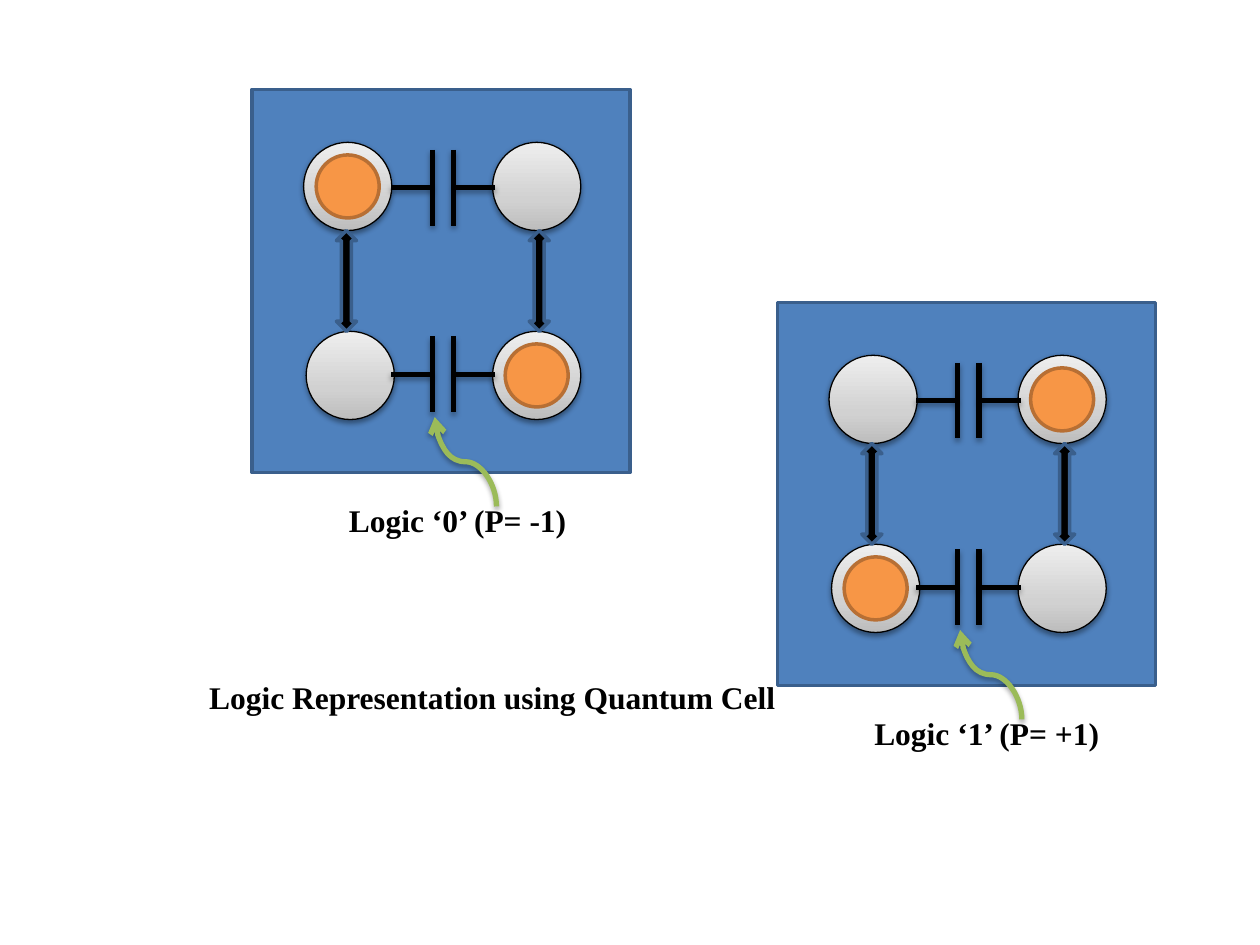
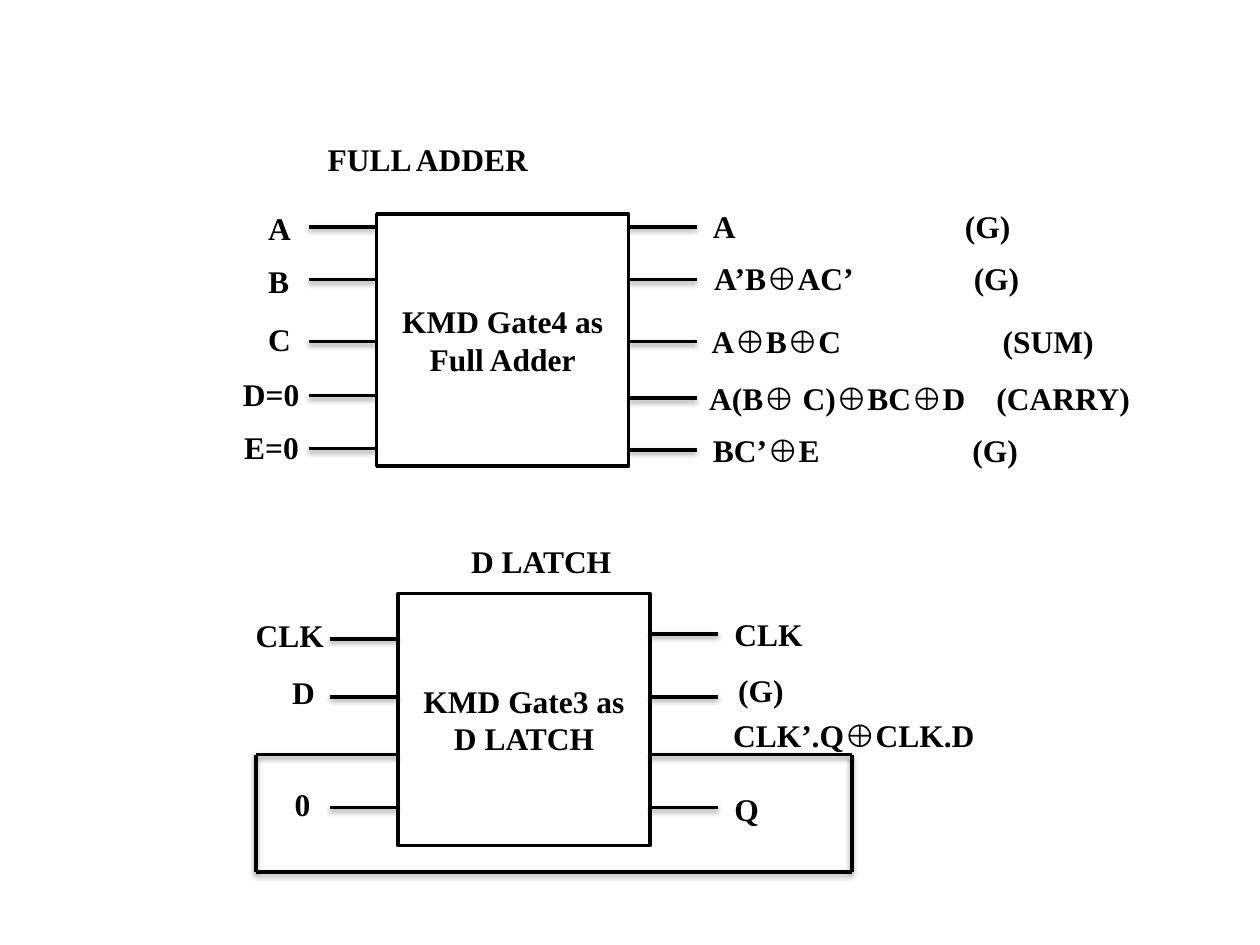
from dataclasses import dataclass

from pptx import Presentation, oxml
from pptx import util as u
from pptx.dml.color import RGBColor
from pptx.enum import shapes, text
from pptx.oxml.ns import nsdecls

EMU_PER_PX = 9144
PIN_LENGTH = 54
GATE_SIZE = 200


@dataclass(frozen=True)
class Theme:
    """Colours, type and line widths shared by both slides."""
    font: str = "Times New Roman"
    size: int = 18
    ink: str = "000000"
    paper: str = "FFFFFF"
    cell: str = "4F81BD"
    cell_edge: str = "3A5F8C"
    electron: str = "F79646"
    electron_edge: str = "B76F34"
    pointer: str = "9BBB59"
    dot_stops: tuple = ((0, "BDBDBD"), (35, "D1D1D1"), (100, "EEEEEE"))
    dot_line: float = 0.75
    line: float = 2
    heavy_line: float = 3


THEME = Theme()


def px(value):
    """Turn px into EMU."""
    return u.Emu(round(value * EMU_PER_PX))


def rgb(code):
    """Turn a hex code into a colour."""
    return RGBColor.from_string(code)


def element(markup):
    """Build a DrawingML element whose root tag lacks its namespace."""
    tag, rest = markup[1:].split(" ", 1)
    return oxml.parse_xml(f"<{tag} {nsdecls('a')} {rest}")


def add_shadow(item, alpha=38, distance=1.6):
    """Give a shape or connector a soft shadow below it."""
    item._element.spPr.append(element(
        f'<a:effectLst ><a:outerShdw blurRad="{u.Pt(3.1)}" dist="{u.Pt(distance)}" '
        f'dir="5400000" rotWithShape="0"><a:srgbClr val="{THEME.ink}">'
        f'<a:alpha val="{alpha * 1000}"/></a:srgbClr></a:outerShdw></a:effectLst>'))


def set_line(item, color, width):
    """Set the colour and width of an outline or line."""
    item.line.color.rgb = rgb(color)
    item.line.width = u.Pt(width)


def add_shape(parent, kind, left, top, width, height, fill, edge):
    """Add a flat preset shape."""
    shape = parent.shapes.add_shape(kind, px(left), px(top), px(width), px(height))
    shape.fill.solid()
    shape.fill.fore_color.rgb = rgb(fill)
    set_line(shape, edge, THEME.line)
    shape.shadow.inherit = False
    return shape


def add_line(parent, x1, y1, x2, y2, width=THEME.line, alpha=38, distance=1.6):
    """Add a straight black line with a shadow."""
    line = parent.shapes.add_connector(
        shapes.MSO_CONNECTOR.STRAIGHT, px(x1), px(y1), px(x2), px(y2))
    set_line(line, THEME.ink, width)
    add_shadow(line, alpha, distance)


def format_text(frame, words, align):
    """Fill a text frame with bold body type."""
    frame.text = words
    for para in frame.paragraphs:
        para.alignment = align
        for span in para.runs:
            span.font.name = THEME.font
            span.font.size = u.Pt(THEME.size)
            span.font.bold = True
            span.font.color.rgb = rgb(THEME.ink)


def format_label(box, words):
    """Format a box as one unwrapped line."""
    frame = box.text_frame
    format_text(frame, words, text.PP_ALIGN.LEFT)
    frame.word_wrap = False
    frame.vertical_anchor = text.MSO_ANCHOR.TOP
    frame.auto_size = text.MSO_AUTO_SIZE.SHAPE_TO_FIT_TEXT


def add_label(parent, words, left, top, width, tab=None):
    """Add a one-line label, with a tab stop if it has two parts."""
    box = parent.shapes.add_textbox(px(left), px(top), px(width), px(40))
    format_label(box, words)
    if tab:
        props = box.text_frame.paragraphs[0]._p.get_or_add_pPr()
        props.append(element(f'<a:tabLst ><a:tab pos="{px(tab)}" algn="l"/></a:tabLst>'))


def set_title(slide, words, left, top, width):
    """Place the title placeholder as a bold one-line heading."""
    title = slide.shapes.title
    title.left, title.top, title.width, title.height = map(px, (left, top, width, 40))
    format_label(title, words)


def add_dot(parent, left, top):
    """Add a grey quantum dot."""
    dot = parent.shapes.add_shape(
        shapes.MSO_SHAPE.OVAL, px(left), px(top), px(70), px(70))
    stops = "".join(f'<a:gs pos="{pos * 1000}"><a:srgbClr val="{color}"/></a:gs>'
                    for pos, color in THEME.dot_stops)
    dot._element.spPr.insert(2, element(
        f'<a:gradFill rotWithShape="1"><a:gsLst>{stops}</a:gsLst>'
        '<a:lin ang="16200000" scaled="0"/></a:gradFill>'))
    set_line(dot, THEME.ink, THEME.dot_line)
    add_shadow(dot)


def add_capacitor(parent, left, top):
    """Add two plates with a lead on either side."""
    middle = top + 30
    for x1, y1, x2, y2 in ((33, top, 33, top + 60), (50, top, 50, top + 60),
                           (33, middle, 0, middle), (83, middle, 50, middle)):
        add_line(parent, left + x1, y1, left + x2, y2, THEME.heavy_line, 35, 1.8)


def add_pointer(parent, left, top):
    """Add the curved arrow that rises from the caption to the capacitor."""
    curve = parent.shapes.add_connector(
        shapes.MSO_CONNECTOR.CURVE, px(left), px(top + 49), px(left + 71), px(top))
    curve._element.spPr.xfrm.set("rot", "16200000")
    set_line(curve, THEME.pointer, THEME.heavy_line)
    curve.line._get_or_add_ln().append(element('<a:tailEnd type="arrow"/>'))
    add_shadow(curve, 35, 1.8)


def add_cell(slide, left, top, electrons, caption, caption_width):
    """Add a four-dot quantum cell with electrons in the named corners."""
    cell = slide.shapes.add_group_shape()
    add_shape(cell, shapes.MSO_SHAPE.RECTANGLE, left, top, 300, 304,
              THEME.cell, THEME.cell_edge)
    corners = {"top left": (41, 42), "top right": (191, 42),
               "bottom left": (43, 192), "bottom right": (191, 192)}
    for x, y in corners.values():
        add_dot(cell, left + x, top + y)
    for corner in electrons:
        x, y = corners[corner]
        add_shape(cell, shapes.MSO_SHAPE.OVAL, left + x + 10, top + y + 10, 50, 50,
                  THEME.electron, THEME.electron_edge)
    for y in (48, 196):
        add_capacitor(cell, left + 110, top + y)
    for x in (67, 220):
        add_shape(cell, shapes.MSO_SHAPE.UP_DOWN_ARROW, left + x, top + 112, 16, 80,
                  THEME.ink, THEME.cell_edge)
    add_label(cell, caption, left + 67, top + 322, caption_width)
    add_pointer(cell, left + 134, top + 271)


def add_gate(slide, name, left, top, inputs, outputs, labels):
    """Add a gate with pins at the given heights, and its labels."""
    gate = slide.shapes.add_group_shape()
    block = add_shape(gate, shapes.MSO_SHAPE.RECTANGLE, left, top,
                      GATE_SIZE, GATE_SIZE, THEME.paper, THEME.ink)
    format_text(block.text_frame, name, text.PP_ALIGN.CENTER)
    block.text_frame.vertical_anchor = text.MSO_ANCHOR.MIDDLE
    right = left + GATE_SIZE
    for y in inputs:
        add_line(gate, left - PIN_LENGTH, y, left, y)
    for y in outputs:
        add_line(gate, right, y, right + PIN_LENGTH, y)
    for label in labels:
        add_label(gate, *label)
    return gate


def build_cells(slide):
    """Build the slide of the two logic states."""
    set_title(slide, "Logic Representation using Quantum Cell", 156, 533, 474)
    add_cell(slide, 200, 71, ("top left", "bottom right"), "Logic ‘0’ (P= -1)", 195)
    add_cell(slide, 617, 240, ("top right", "bottom left"), "Logic ‘1’ (P= +1)", 201)


def build_gates(slide):
    """Build the slide of the full adder and the latch."""
    set_title(slide, "FULL ADDER", 250, 106, 181)
    add_gate(slide, "KMD Gate4 as\nFull Adder", 299, 170,
             (180, 222, 271, 314, 356), (180, 222, 271, 316, 357), (
                 ("A", 203, 161, 38), ("B", 203, 203, 37), ("C", 203, 249, 38),
                 ("D=0", 183, 293, 65), ("E=0", 184, 335, 64),
                 ("A\t(G)", 556, 159, 259, 200),
                 ("A’B⊕AC’\t(G)", 557, 201, 265, 206),
                 ("A⊕B⊕C\t(SUM)", 555, 251, 327, 231),
                 ("A(B⊕ C)⊕BC⊕D\t(CARRY)", 553, 296, 356, 228),
                 ("BC’⊕E\t(G)", 556, 337, 265, 206)))
    add_label(slide, "D LATCH", 364, 425, 133)
    latch = add_gate(slide, "KMD Gate3 as\nD LATCH", 316, 471,
                     (507, 553, 641), (503, 553, 641), (
                         ("CLK", 193, 484, 75), ("D", 222, 529, 38), ("0", 224, 618, 33),
                         ("CLK", 573, 483, 75), ("(G)", 576, 528, 57),
                         ("CLK’.Q⊕CLK.D", 572, 563, 213), ("Q", 573, 622, 40)))
    feedback = ((516, 599), (676, 599), (676, 692), (203, 692), (203, 599), (316, 599))
    for start, end in zip(feedback, feedback[1:]):
        add_line(latch, *start, *end)


def main():
    """Build and save the deck."""
    deck = Presentation()
    deck.slide_width, deck.slide_height = px(1000), px(750)
    title_only = deck.slide_layouts[5]
    for build in (build_cells, build_gates):
        build(deck.slides.add_slide(title_only))
    deck.save("out.pptx")


if __name__ == "__main__":
    main()
